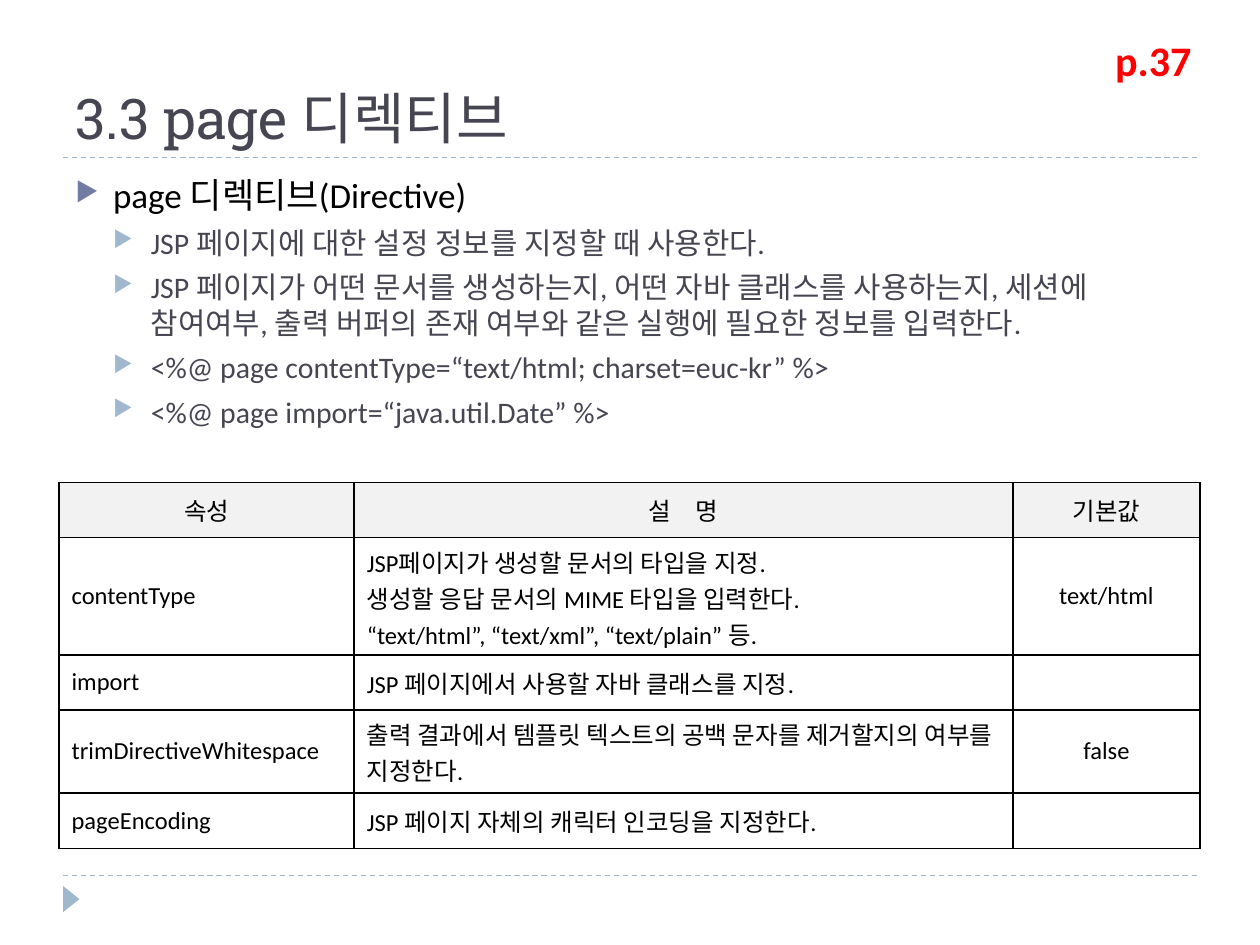
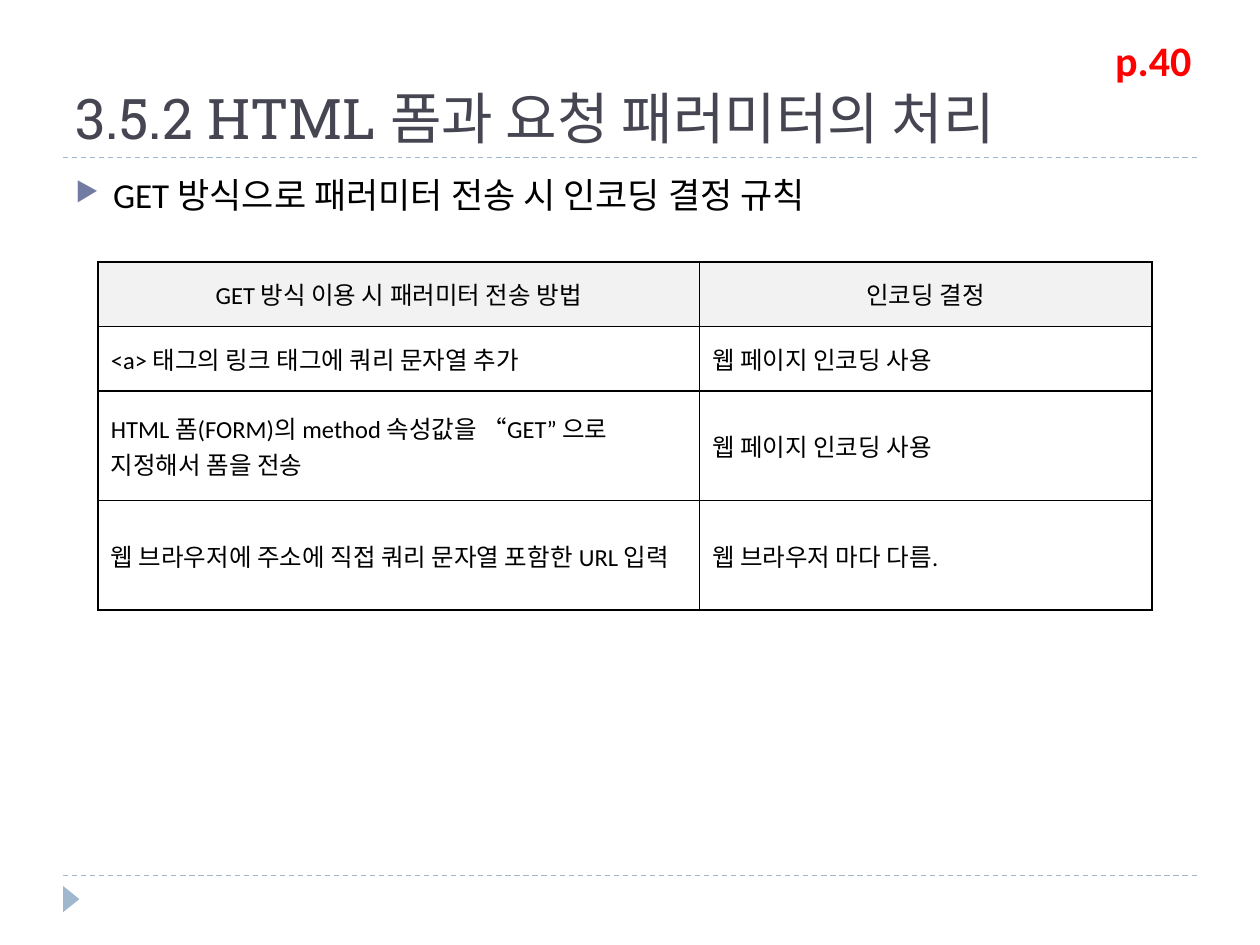
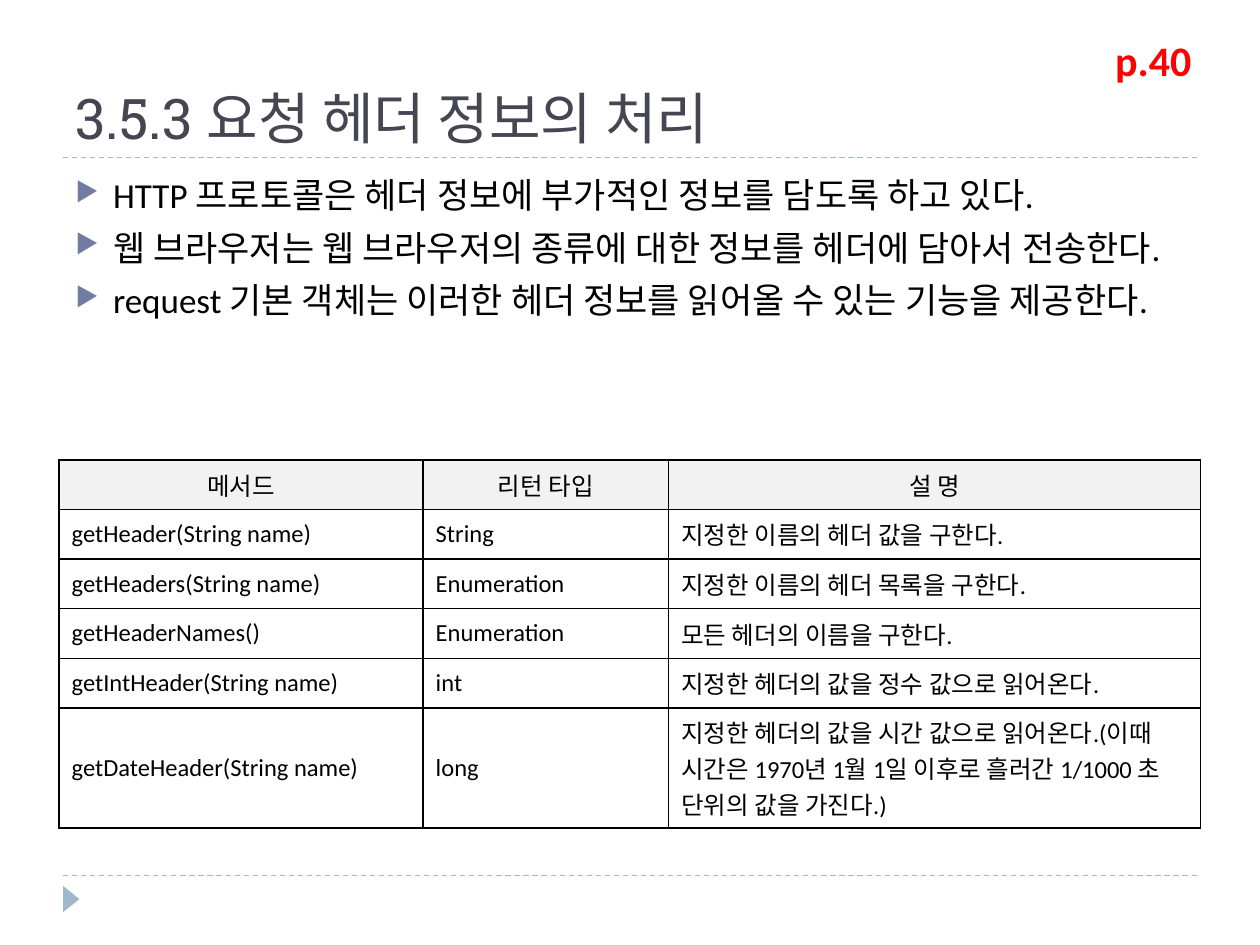
"""Build three lecture pages on JSP directives, parameters and headers."""
from lxml.etree import SubElement
from pptx import Presentation
from pptx.dml.color import RGBColor
from pptx.enum.dml import MSO_LINE
from pptx.enum.shapes import MSO_CONNECTOR, MSO_SHAPE
from pptx.enum.text import MSO_ANCHOR, MSO_AUTO_SIZE, PP_ALIGN
from pptx.oxml.ns import qn
from pptx.util import Cm, Pt

COLORS = {
    "title": "464653", "text": "000000", "accent": "727CA3", "soft": "9FB8CD",
    "header": "F2F2F2", "border": "000000", "tag": "FF0000",
}
TITLE_FONT, BODY_FONT = "Roboto Slab", "Calibri"
LEFT, WIDTH = 1.27, 22.86
RULES = (3.18, 17.65)
LEVELS = [
    {"size": 20, "color": "text", "bullet": "accent", "before": 6},
    {"size": 17, "color": "title", "bullet": "soft", "before": 5},
]

PAGES = [
    {
        "title": "3.3 page 디렉티브",
        "tag": "p.37",
        "bullets": [
            (0, "page 디렉티브(Directive)"),
            (1, "JSP 페이지에 대한 설정 정보를 지정할 때 사용한다."),
            (1, "JSP 페이지가 어떤 문서를 생성하는지, 어떤 자바 클래스를 사용하는지, "
                "세션에 참여여부, 출력 버퍼의 존재 여부와 같은 실행에 필요한 정보를 입력한다."),
            (1, "<%@ page contentType=“text/html; charset=euc-kr” %>"),
            (1, "<%@ page import=“java.util.Date” %>"),
        ],
        "place": (1.19, 9.73),
        "columns": (5.95, 13.28, 3.77),
        "heights": (1.11, 2.36, 1.11, 1.68, 1.11),
        "centered": (2,),
        "rows": [
            ("속성", "설\u2003명", "기본값"),
            ("contentType",
             "JSP페이지가 생성할 문서의 타입을 지정.\n"
             "생성할 응답 문서의 MIME 타입을 입력한다.\n"
             "“text/html”, “text/xml”, “text/plain” 등.",
             "text/html"),
            ("import", "JSP 페이지에서 사용할 자바 클래스를 지정.", ""),
            ("trimDirectiveWhitespace",
             "출력 결과에서 템플릿 텍스트의 공백 문자를 제거할지의 여부를 지정한다.",
             "false"),
            ("pageEncoding", "JSP 페이지 자체의 캐릭터 인코딩을 지정한다.", ""),
        ],
    },
    {
        "title": "3.5.2 HTML 폼과 요청 패러미터의 처리",
        "tag": "p.40",
        "bullets": [(0, "GET 방식으로 패러미터 전송 시 인코딩 결정 규칙")],
        "place": (1.98, 5.28),
        "columns": (12.12, 9.12),
        "heights": (1.3, 1.3, 2.21, 2.21),
        "centered": (),
        "rows": [
            ("GET 방식 이용 시 패러미터 전송 방법", "인코딩 결정"),
            ("<a> 태그의 링크 태그에 쿼리 문자열 추가", "웹 페이지 인코딩 사용"),
            ("HTML 폼(FORM)의 method 속성값을 “GET” 으로 지정해서 폼을 전송",
             "웹 페이지 인코딩 사용"),
            ("웹 브라우저에 주소에 직접 쿼리 문자열 포함한 URL 입력",
             "웹 브라우저 마다 다름."),
        ],
    },
    {
        "title": "3.5.3 요청 헤더 정보의 처리",
        "tag": "p.40",
        "bullets": [
            (0, "HTTP 프로토콜은 헤더 정보에 부가적인 정보를 담도록 하고 있다."),
            (0, "웹 브라우저는 웹 브라우저의 종류에 대한 정보를 헤더에 담아서 전송한다."),
            (0, "request 기본 객체는 이러한 헤더 정보를 읽어올 수 있는 기능을 제공한다."),
        ],
        "place": (1.19, 9.27),
        "columns": (7.34, 4.95, 10.72),
        "heights": (1, 1, 1, 1, 1, 2.42),
        "centered": (),
        "rows": [
            ("메서드", "리턴 타입", "설 명"),
            ("getHeader(String name)", "String", "지정한 이름의 헤더 값을 구한다."),
            ("getHeaders(String name)", "Enumeration", "지정한 이름의 헤더 목록을 구한다."),
            ("getHeaderNames()", "Enumeration", "모든 헤더의 이름을 구한다."),
            ("getIntHeader(String name)", "int", "지정한 헤더의 값을 정수 값으로 읽어온다."),
            ("getDateHeader(String name)", "long",
             "지정한 헤더의 값을 시간 값으로 읽어온다.(이때 시간은 1970년 1월 1일 "
             "이후로 흘러간 1/1000 초 단위의 값을 가진다.)"),
        ],
    },
]


def rgb(name):
    return RGBColor.from_string(COLORS[name])


def format_para(para, size, color, font=BODY_FONT, bold=False, align=PP_ALIGN.LEFT):
    para.alignment = align
    for span in para.runs:
        span.font.name = font
        span.font.size = Pt(size)
        span.font.bold = bold
        span.font.color.rgb = rgb(color)


def add_title(page, text):
    title = page.shapes.title
    title.left, title.top, title.width, title.height = Cm(LEFT), Cm(0.43), Cm(WIDTH), Cm(2.74)
    frame = title.text_frame
    frame.text = text
    frame.word_wrap = True
    frame.auto_size = MSO_AUTO_SIZE.NONE
    frame.vertical_anchor = MSO_ANCHOR.BOTTOM
    format_para(frame.paragraphs[0], 32, "title", TITLE_FONT)


def add_decor(page):
    for top in RULES:
        rule = page.shapes.add_connector(
            MSO_CONNECTOR.STRAIGHT, Cm(LEFT), Cm(top), Cm(LEFT + WIDTH), Cm(top))
        rule.line.color.rgb = rgb("soft")
        rule.line.width = Pt(0.75)
        rule.line.dash_style = MSO_LINE.DASH
        SubElement(rule._element.spPr, qn("a:effectLst"))
    marker = page.shapes.add_shape(
        MSO_SHAPE.ISOSCELES_TRIANGLE, Cm(1.17), Cm(17.96), Cm(0.53), Cm(0.33))
    marker.rotation = 90
    marker.shadow.inherit = False
    marker.fill.solid()
    marker.fill.fore_color.rgb = rgb("soft")
    marker.line.fill.background()


def add_tag(page, text):
    box = page.shapes.add_textbox(Cm(22.23), Cm(0.58), Cm(2.59), Cm(1.27))
    frame = box.text_frame
    frame.text = text
    frame.word_wrap = True
    frame.auto_size = MSO_AUTO_SIZE.SHAPE_TO_FIT_TEXT
    format_para(frame.paragraphs[0], 24, "tag", bold=True)


def set_bullet(para, level, color):
    props = para._p.get_or_add_pPr()
    props.set("marL", str(Cm(0.76 * (level + 1))))
    props.set("indent", str(-Cm(0.76)))
    holder = SubElement(props, qn("a:buClr"))
    SubElement(holder, qn("a:srgbClr"), val=COLORS[color])
    SubElement(props, qn("a:buSzPct"), val="76000")
    SubElement(props, qn("a:buChar"), char="▶")


def add_bullets(page, bullets):
    box = page.shapes.add_textbox(Cm(LEFT), Cm(3.38), Cm(WIDTH), Cm(13.72))
    frame = box.text_frame
    frame.word_wrap = True
    frame.text = "\n".join(text for _, text in bullets)
    for para, (level, _) in zip(frame.paragraphs, bullets):
        style = LEVELS[level]
        para.level = level
        para.space_before = Pt(style["before"])
        format_para(para, style["size"], style["color"])
        set_bullet(para, level, style["bullet"])


def set_borders(cell):
    props = cell._tc.get_or_add_tcPr()
    for side in ("lnL", "lnR", "lnT", "lnB"):
        edge = SubElement(props, qn(f"a:{side}"), w=str(Pt(1)))
        fill = SubElement(edge, qn("a:solidFill"))
        SubElement(fill, qn("a:srgbClr"), val=COLORS["border"])


def format_cell(cell, text, is_header, is_centered):
    cell.text = text
    cell.vertical_anchor = MSO_ANCHOR.MIDDLE
    set_borders(cell)
    if is_header:
        cell.fill.solid()
        cell.fill.fore_color.rgb = rgb("header")
    else:
        cell.fill.background()
    align = PP_ALIGN.CENTER if is_centered else PP_ALIGN.LEFT
    for para in cell.text_frame.paragraphs:
        format_para(para, 14, "text", align=align)


def add_grid(page, content):
    rows, columns, heights = content["rows"], content["columns"], content["heights"]
    left, top = content["place"]
    table = page.shapes.add_table(
        len(rows), len(columns), Cm(left), Cm(top), Cm(sum(columns)), Cm(sum(heights))).table
    table.first_row = table.horz_banding = False
    for column, width in zip(table.columns, columns):
        column.width = Cm(width)
    for row, height in zip(table.rows, heights):
        row.height = Cm(height)
    for r, texts in enumerate(rows):
        for c, text in enumerate(texts):
            format_cell(table.cell(r, c), text, r == 0, r == 0 or c in content["centered"])


deck = Presentation()
deck.slide_width, deck.slide_height = Cm(25.4), Cm(19.05)
for content in PAGES:
    page = deck.slides.add_slide(deck.slide_layouts[5])
    add_decor(page)
    add_title(page, content["title"])
    add_bullets(page, content["bullets"])
    add_grid(page, content)
    add_tag(page, content["tag"])
deck.save("out.pptx")
